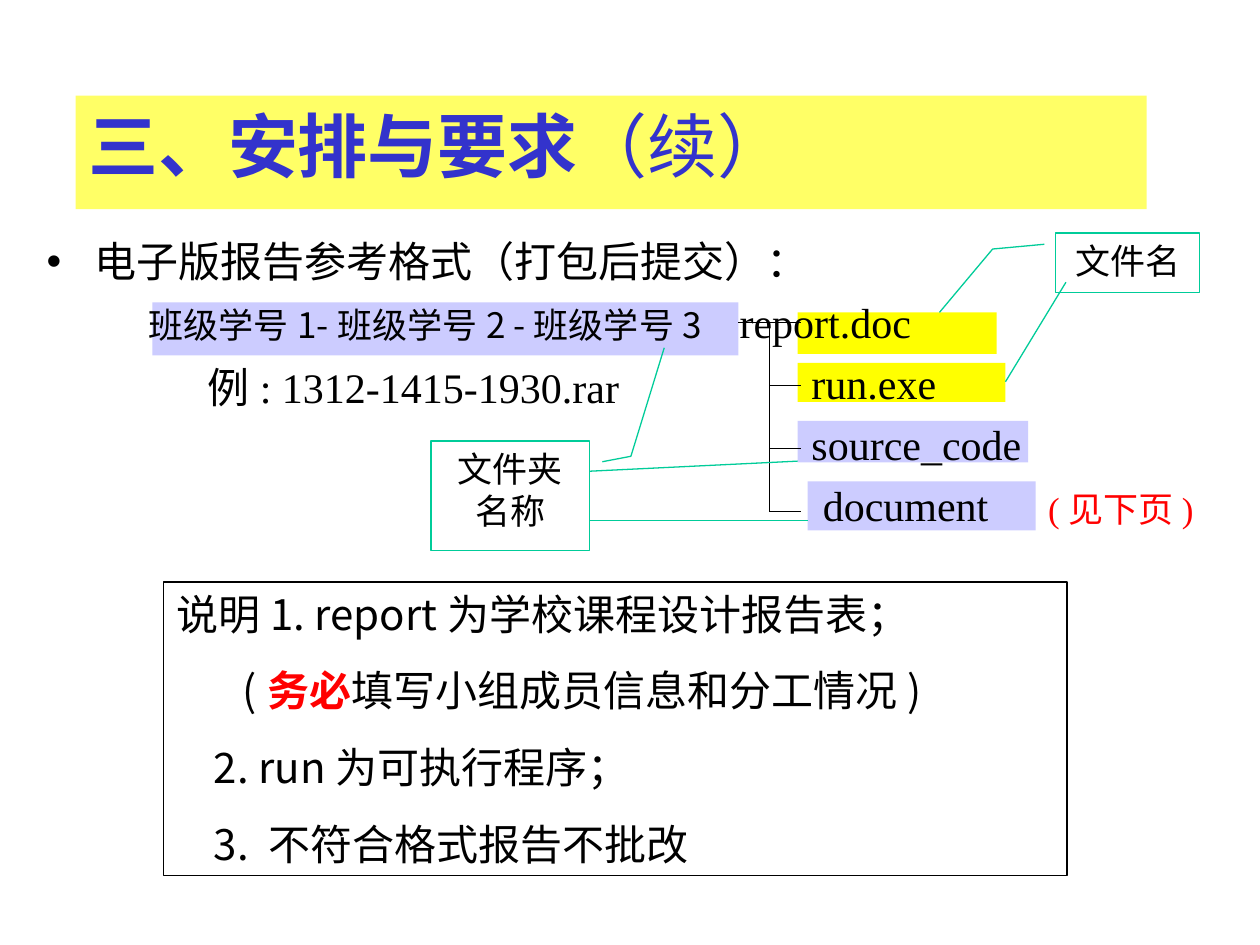
from pptx import Presentation
from pptx.dml.color import RGBColor
from pptx.enum.shapes import MSO_CONNECTOR, MSO_SHAPE
from pptx.enum.text import MSO_ANCHOR, MSO_AUTO_SIZE, PP_ALIGN
from pptx.oxml.ns import qn
from pptx.util import Inches, Pt
from lxml import etree

RECT, CALLOUT = MSO_SHAPE.RECTANGLE, MSO_SHAPE.LINE_CALLOUT_2
STRAIGHT = MSO_CONNECTOR.STRAIGHT
LEFT, CENTER, TOP = PP_ALIGN.LEFT, PP_ALIGN.CENTER, MSO_ANCHOR.TOP
TIMES, SANS, ARIAL = "Times New Roman", "Noto Sans CJK SC", "Arial"
BLACK, RED, BLUE, GREEN = "000000", "FF0000", "3333CC", "00CC99"
PALE, YELLOW, LILAC = "FFFF66", "FFFF00", "CCCCFF"

# A run is (text, size, font, colour, bold)
TITLE = [("三、安排与要求", 40, TIMES, BLUE, True),
         ("（续）", 40, TIMES, BLUE, False)]
# A line is (indent, runs)
FORMAT = [
    (0, [("电子版报告参考格式（打包后提交）：", 24, TIMES, BLACK, False)]),
    (0.81, [("班级学号1-班级学号2 -班级学号3\t", 20, SANS, BLACK, False),
            ("report.doc", 24, TIMES, BLACK, False)]),
    (6.07, [("run.exe", 24, TIMES, BLACK, False)]),
    (6.07, [("source_code", 24, TIMES, BLACK, False)]),
    (6.16, [("document", 24, TIMES, BLACK, False)]),
]
NOTES = [
    (0, [("说明1. report为学校课程设计报告表；", 24, SANS, BLACK, False)]),
    (0.53, [("(", 24, SANS, BLACK, False), ("务必", 24, SANS, RED, True),
            ("填写小组成员信息和分工情况)", 24, SANS, BLACK, False)]),
    (0.3, [("2. run为可执行程序；", 24, SANS, BLACK, False)]),
    (0.3, [("3. 不符合格式报告不批改", 24, SANS, BLACK, False)]),
]
EXAMPLE = [(0, [("例: 1312-1415-1930.rar", 24, TIMES, BLACK, False)])]
NEXT = [(0, [("(见下页)", 20, TIMES, RED, False)])]
MARKS = [((6.33, 2.88, 1.65, 0.31), YELLOW), ((6.33, 2.48, 1.58, 0.33), YELLOW),
         ((6.41, 3.82, 1.81, 0.39), LILAC), ((6.33, 3.34, 1.83, 0.33), LILAC),
         ((1.21, 2.4, 4.65, 0.42), LILAC)]
CALLOUTS = [
    ("文件夹名称", ARIAL, (3.42, 3.5, 1.26, 0.87),
     (0.19, 1.08, 0.14, 1.26, -0.85, 1.47)),
    ("文件名", TIMES, (8.38, 1.85, 1.14, 0.47),
     (0.19, -0.08, 0.27, -0.44, 1.34, -0.81)),
]
LINKS = [(4.68, 3.74, 6.33, 3.66), (4.68, 4.13, 6.41, 4.13),
         (8.46, 2.24, 7.98, 3.03)]
TRUNK, TREE_TOP, STEP, BRANCHES = 6.11, 2.56, 0.5, 4


def color(code):
    return RGBColor.from_string(code)


def place(shape, box):
    shape.left, shape.top, shape.width, shape.height = map(Inches, box)


def write(shape, lines, align=LEFT, before=0):
    frame = shape.text_frame
    frame.word_wrap = True
    frame.auto_size = MSO_AUTO_SIZE.NONE
    frame.vertical_anchor = TOP
    for i, (indent, runs) in enumerate(lines):
        para = frame.add_paragraph() if i else frame.paragraphs[0]
        para.alignment = align
        para.space_before = Pt(before)
        props = para._p.get_or_add_pPr()
        props.set("marL", "0")
        props.set("indent", str(Inches(indent)))
        etree.SubElement(props, qn("a:buNone"))
        for text, size, face, code, bold in runs:
            run = para.add_run()
            run.text = text
            font = run.font
            font.size, font.name, font.bold = Pt(size), face, bold
            font.color.rgb = color(code)


def add_box(kind, box, fill=None, line=None):
    shape = shapes.add_shape(kind, *map(Inches, box))
    shape.shadow.inherit = False
    if fill:
        shape.fill.solid()
        shape.fill.fore_color.rgb = color(fill)
    else:
        shape.fill.background()
    if line:
        shape.line.color.rgb = color(line)
        shape.line.width = Pt(0.75)
    else:
        shape.line.fill.background()
    return shape


def add_line(ends, code):
    line = shapes.add_connector(STRAIGHT, *map(Inches, ends))
    line.line.color.rgb = color(code)
    line.line.width = Pt(0.75)
    etree.SubElement(line._element.spPr, qn("a:effectLst"))


def add_text(box, lines, before):
    write(shapes.add_textbox(*map(Inches, box)), lines, before=before)


deck = Presentation()
deck.slide_width, deck.slide_height = Inches(10), Inches(7.5)
slide = deck.slides.add_slide(deck.slide_layouts[1])
shapes = slide.shapes
title, body = shapes.title, slide.placeholders[1]

place(title, (0.6, 0.76, 8.5, 0.9))
title.fill.solid()
title.fill.fore_color.rgb = color(PALE)
write(title, [(0, TITLE)])

for box, fill in MARKS:
    add_box(RECT, box, fill)

add_line((TRUNK, TREE_TOP, TRUNK, TREE_TOP + STEP * (BRANCHES - 1)), BLACK)
for i in range(BRANCHES):
    y = TREE_TOP + STEP * i
    add_line((TRUNK if i else TRUNK - 0.25, y, TRUNK + 0.25, y), BLACK)

add_text((1.55, 2.82, 3.68, 0.5), EXAMPLE, 15)

place(body, (0.27, 1.82, 8.58, 3.07))
write(body, FORMAT, before=6)
shapes._spTree.append(body._element)  # text in front of its marks
first, second = [para._p.pPr for para in body.text_frame.paragraphs[:2]]
first.set("marL", str(Inches(0.38)))
first.set("indent", str(Inches(-0.38)))
first.remove(first.find(qn("a:buNone")))
etree.SubElement(first, qn("a:buChar"), char="•")
tabs = etree.SubElement(second, qn("a:tabLst"))
etree.SubElement(tabs, qn("a:tab"), pos=str(Inches(5.65)), algn="l")

for text, face, box, bends in CALLOUTS:
    shape = add_box(CALLOUT, box, line=GREEN)
    for i, bend in enumerate(bends):
        shape.adjustments[i] = bend
    write(shape, [(0, [(text, 20, face, BLACK, False)])], CENTER)
for ends in LINKS:
    add_line(ends, GREEN)

add_text((8.22, 3.82, 1.61, 0.44), NEXT, 12.5)
write(add_box(RECT, (1.3, 4.62, 7.17, 2.33), line=BLACK), NOTES, before=15)

deck.save("out.pptx")
